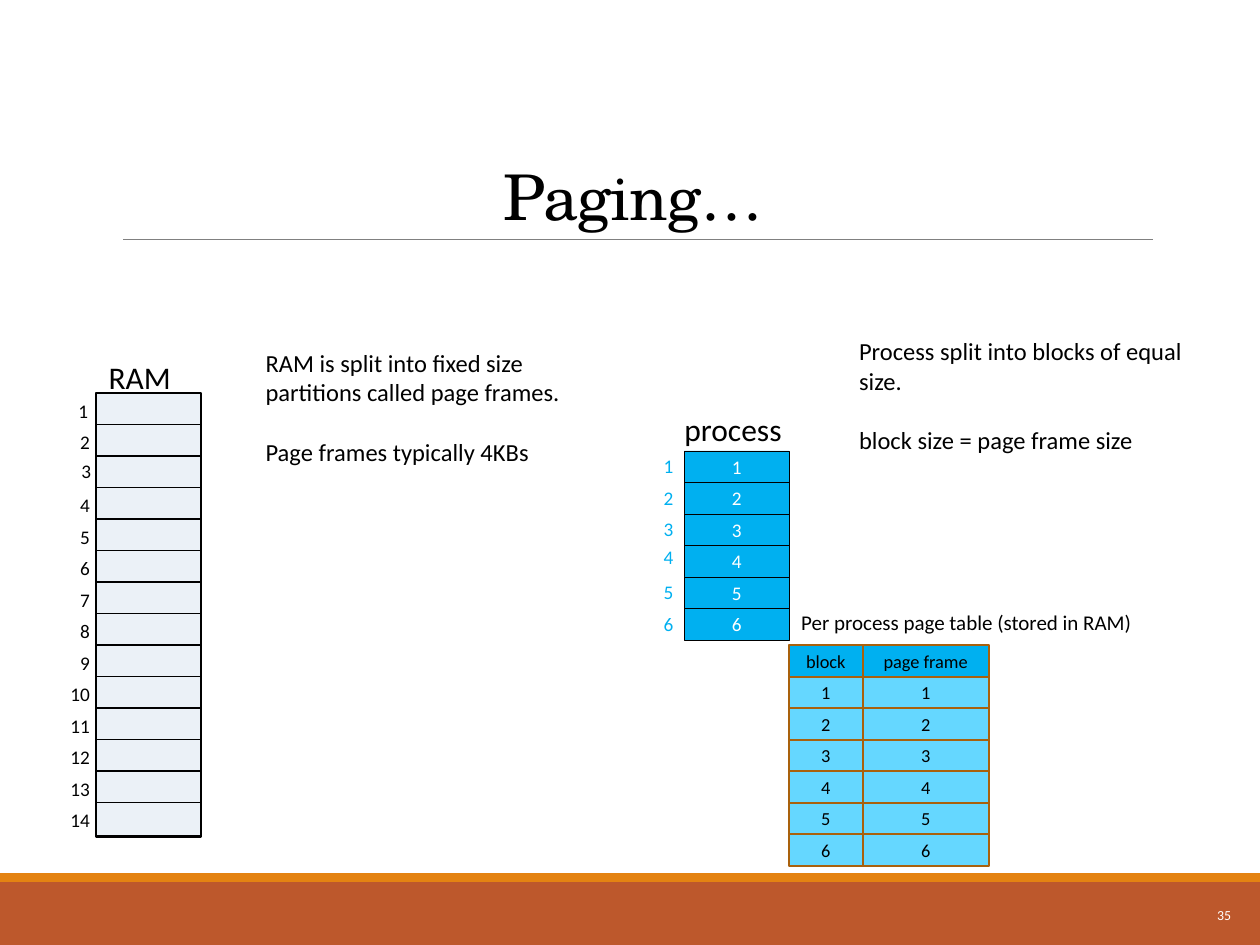
import pptx
import pptx.dml.color
import pptx.enum.shapes
import pptx.enum.text
import pptx.oxml.ns
import pptx.util
from dataclasses import dataclass
from lxml import etree

Pt = pptx.util.Pt
Align = pptx.enum.text.PP_ALIGN
Anchor = pptx.enum.text.MSO_ANCHOR


@dataclass(frozen=True)
class Theme:
    serif: str = "TeX Gyre Schola"
    sans: str = "Calibri"
    black: str = "000000"
    white: str = "FFFFFF"
    grey: str = "808080"
    rust: str = "BD582C"
    amber: str = "E48312"
    brown: str = "A9610D"
    pale: str = "EBF1F7"
    blue: str = "00B0F0"
    sky: str = "65D7FF"
    title: float = 36
    head: float = 18
    note: float = 14
    label: float = 12
    mark: float = 11
    cell: float = 10.5
    foot: float = 7.9


@dataclass(frozen=True)
class Box:
    left: float
    top: float
    width: float
    height: float

    def lengths(self) -> list:
        return [Pt(n) for n in (self.left, self.top, self.width, self.height)]


@dataclass(frozen=True)
class Look:
    """Fill and outline of a rectangle, with its text colour and size."""
    fill: str
    line: str = ""
    weight: float = 0
    ink: str = ""
    size: float = 0


THEME = Theme()
STEP = 18
FRAMES = 14
BLOCKS = 6
RAM = Box(55, 224.6, 60, 253.4)
PROCESS = Box(391, 257.7, 60, STEP)
TABLE = Box(450.8, 368.8, 42.2, STEP)
PAGE_WIDTH = 72

BLOCK = Look(THEME.blue, THEME.black, 0.25, THEME.white, THEME.mark)
HEAD = Look(THEME.blue, THEME.brown, 1.25, THEME.black, THEME.cell)
ROW = Look(THEME.sky, THEME.brown, 1.25, THEME.black, THEME.cell)

# Small shifts (x, y) of single row numbers
RAM_SHIFTS = {1: (-1, 0), 3: (0.7, -2)}
BLOCK_SHIFTS = {4: (0, -2)}


def tint(name: str) -> pptx.dml.color.RGBColor:
    return pptx.dml.color.RGBColor.from_string(name)


def style(para, size: float, ink: str, face: str = THEME.sans, align=Align.LEFT) -> None:
    para.alignment = align
    for run in para.runs:
        run.font.size = Pt(size)
        run.font.name = face
        run.font.color.rgb = tint(ink)


def add_text(slide, box: Box, text: str, size: float, ink: str = THEME.black,
             face: str = THEME.sans, align=Align.LEFT, anchor=Anchor.TOP, wrap: bool = False):
    frame = slide.shapes.add_textbox(*box.lengths()).text_frame
    frame.text = text
    frame.word_wrap = wrap
    frame.vertical_anchor = anchor
    if not wrap:
        frame.auto_size = pptx.enum.text.MSO_AUTO_SIZE.SHAPE_TO_FIT_TEXT
    for para in frame.paragraphs:
        style(para, size, ink, face, align)
    return frame


def add_rect(slide, box: Box, look: Look, text: str = "") -> None:
    shape = slide.shapes.add_shape(pptx.enum.shapes.MSO_SHAPE.RECTANGLE, *box.lengths())
    shape.shadow.inherit = False
    shape.fill.solid()
    shape.fill.fore_color.rgb = tint(look.fill)
    if look.line:
        shape.line.color.rgb = tint(look.line)
        shape.line.width = Pt(look.weight)
    else:
        shape.line.fill.background()
    if text:
        frame = shape.text_frame
        frame.margin_left = frame.margin_right = 0
        frame.margin_top = frame.margin_bottom = 0
        frame.vertical_anchor = Anchor.MIDDLE
        frame.text = text
        style(frame.paragraphs[0], look.size, look.ink, align=Align.CENTER)


def add_rule(slide, left: float, right: float, top: float, ink: str, weight: float) -> None:
    """Draw a level line."""
    rule = slide.shapes.add_connector(pptx.enum.shapes.MSO_CONNECTOR.STRAIGHT,
                                      Pt(left), Pt(top), Pt(right), Pt(top))
    rule.line.color.rgb = tint(ink)
    rule.line.width = Pt(weight)
    etree.SubElement(rule._element.spPr, pptx.oxml.ns.qn("a:effectLst"))


def add_marks(slide, right: float, top: float, count: int, ink: str, shifts: dict) -> None:
    """Number the rows of a stack, each number ending at the same edge."""
    for num in range(1, count + 1):
        dx, dy = shifts.get(num, (0, 0))
        width = 20.9 if num < 10 else 26.5
        box = Box(right - width + dx, top + (num - 1) * STEP + dy, width, 20.6)
        add_text(slide, box, str(num), THEME.mark, ink)


def add_note(slide, box: Box, lines: list) -> None:
    """Write lines of text, the last one set apart."""
    frame = add_text(slide, box, "\n".join(lines), THEME.note)
    frame.paragraphs[-1].space_before = Pt(17)


def draw_base(slide) -> None:
    add_rect(slide, Box(0, 504, 720, 36), Look(THEME.rust))
    add_rect(slide, Box(0, 499, 720, 5), Look(THEME.amber))
    add_rule(slide, 70.5, 659, 136.8, THEME.grey, 0.5)
    title = add_text(slide, Box(65, 22.5, 594, 114.3), "Paging…", THEME.title, face=THEME.serif,
                     align=Align.CENTER, anchor=Anchor.BOTTOM, wrap=True).paragraphs[0]
    title.line_spacing = 0.85
    title.runs[0]._r.get_or_add_rPr().set("spc", "-40")
    add_text(slide, Box(633, 508.3, 77.6, 28.8), "35", THEME.foot, THEME.white,
             align=Align.RIGHT, anchor=Anchor.MIDDLE, wrap=True)


def draw_ram(slide) -> None:
    add_rect(slide, RAM, Look(THEME.pale, THEME.black, 1.25))
    add_text(slide, Box(RAM.left, 201, 54.7, 29), "RAM", THEME.head)
    for num in range(1, FRAMES):
        add_rule(slide, RAM.left, RAM.left + RAM.width, RAM.top + num * STEP, THEME.black, 1)
    add_marks(slide, 59.6, RAM.top, FRAMES, THEME.black, RAM_SHIFTS)
    add_note(slide, Box(144.7, 195.3, 199.4, 75), [
        "RAM is split into fixed size", "partitions called page frames.",
        "Page frames typically 4KBs"])


def draw_process(slide) -> None:
    add_text(slide, Box(384, 231, 78.5, 29), "process", THEME.head)
    add_marks(slide, 393.1, 256.3, BLOCKS, THEME.blue, BLOCK_SHIFTS)
    for num in range(BLOCKS):
        box = Box(PROCESS.left, PROCESS.top + num * STEP, PROCESS.width, STEP)
        add_rect(slide, box, BLOCK, str(num + 1))
    add_note(slide, Box(483.8, 188.7, 219.6, 75), [
        "Process split into blocks of equal", "size.",
        "block size = page frame size"])


def draw_table(slide) -> None:
    rows = [("block", "page frame")] + [(str(num), str(num)) for num in range(1, BLOCKS + 1)]
    for num, (block, page) in enumerate(rows):
        look = ROW if num else HEAD
        top = TABLE.top + num * STEP
        add_rect(slide, Box(TABLE.left, top, TABLE.width, STEP), look, block)
        add_rect(slide, Box(TABLE.left + TABLE.width, top, PAGE_WIDTH, STEP), look, page)
    add_text(slide, Box(TABLE.left, 345, 227.5, 21.6),
             "Per process page table (stored in RAM)", THEME.label)


def main() -> None:
    deck = pptx.Presentation()
    deck.slide_width, deck.slide_height = Pt(720), Pt(540)
    slide = deck.slides.add_slide(deck.slide_layouts[6])
    for draw in (draw_base, draw_ram, draw_process, draw_table):
        draw(slide)
    deck.save("out.pptx")


if __name__ == "__main__":
    main()
